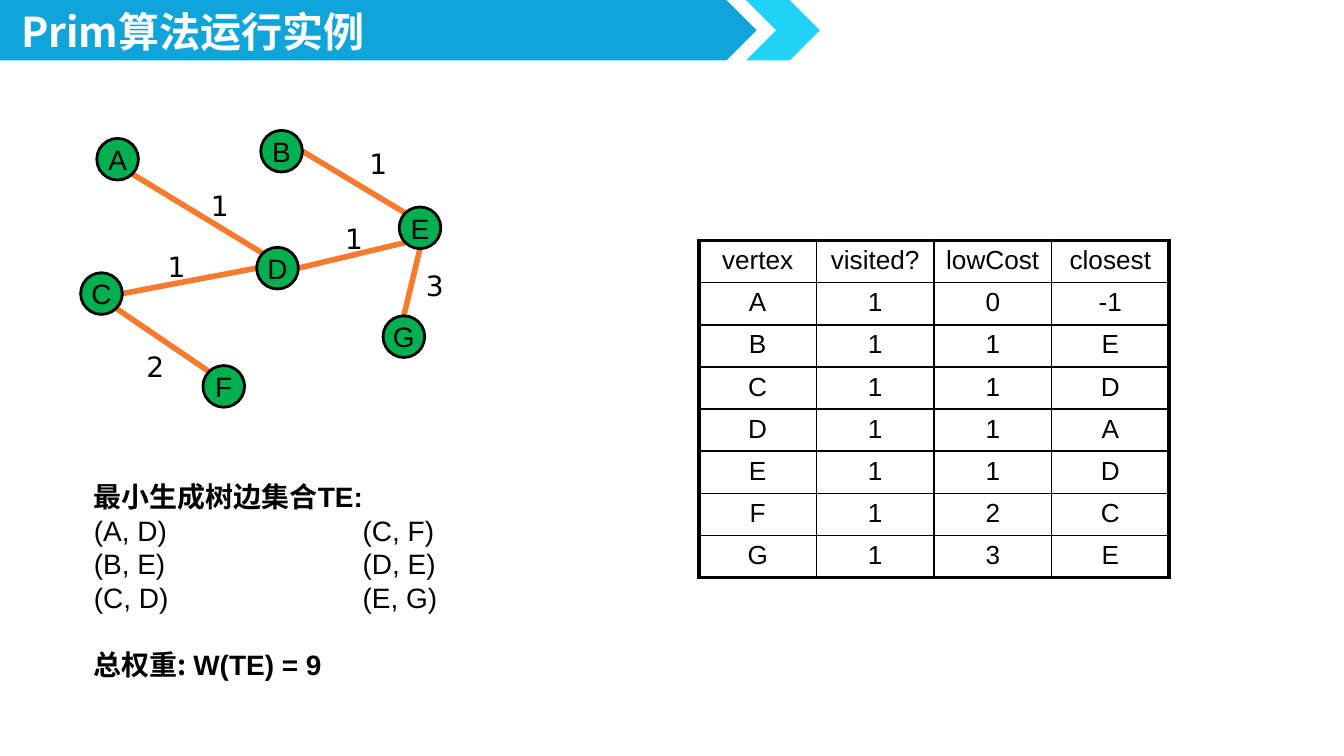
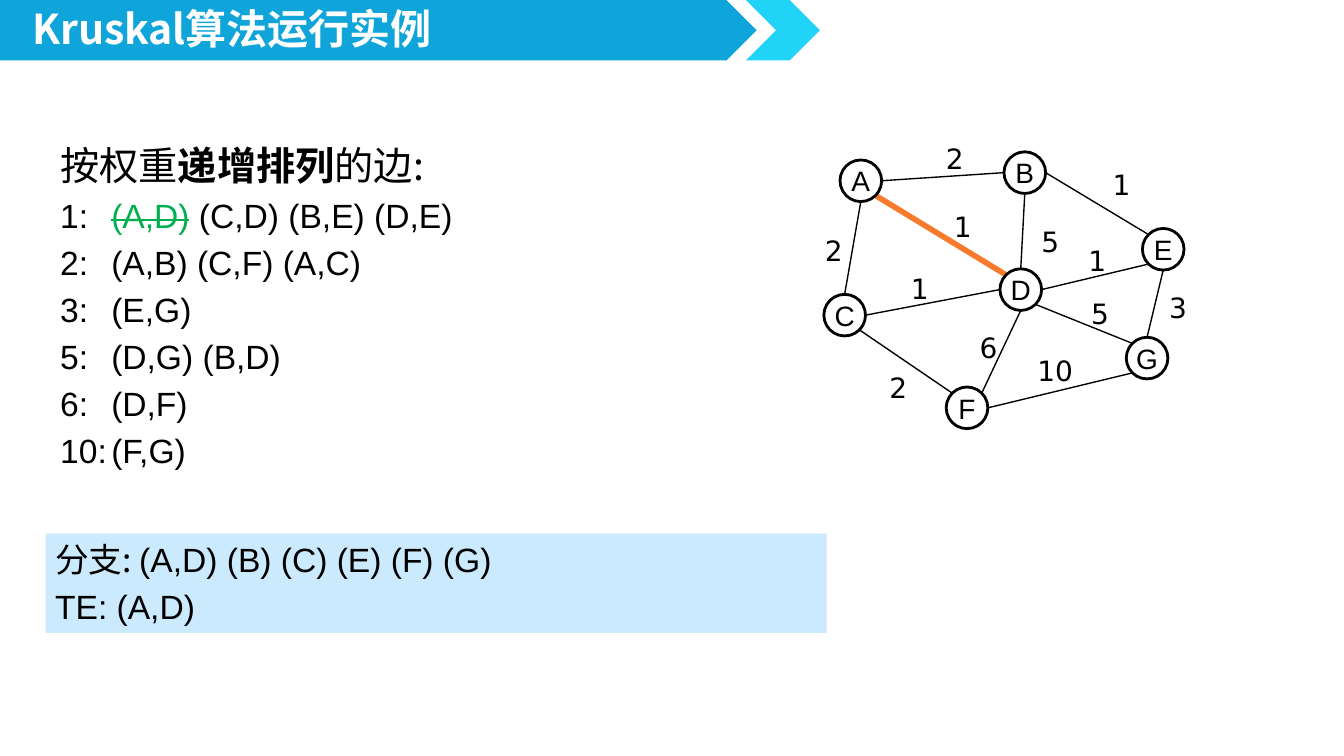
from lxml.etree import SubElement
from pptx import Presentation
from pptx.dml.color import RGBColor
from pptx.enum.shapes import MSO_CONNECTOR, MSO_SHAPE
from pptx.enum.text import MSO_ANCHOR, PP_ALIGN
from pptx.oxml.ns import qn
from pptx.util import Inches, Pt

LATIN, CHINESE, NUMERAL = "Arial", "Noto Sans CJK SC", "DejaVu Sans"
BLACK, WHITE = "000000", "FFFFFF"
BANNER_BLUE, CHEVRON_CYAN, PALE_BLUE = "10A5DA", "21D3F7", "CBEAFD"
GREEN, ORANGE = "00B050", "F77A2D"

NODE_SIZE = 0.31
# Top left corner of each node, measured from the graph's own corner
NODES = {
    "A": (0.12, 0.06), "B": (1.34, 0), "C": (0, 1.06), "D": (1.31, 0.87),
    "F": (0.91, 1.75), "E": (2.37, 0.57), "G": (2.25, 1.38),
}
# Nodes: (weight, side of first node, side of second node, label position)
EDGES = {
    "AC": (2, "S", "N", (-0.09, 0.56)),
    "AB": (2, "E", "W", (0.81, -0.13)),
    "BD": (5, "S", "N", (1.52, 0.49)),
    "AD": (1, "SE", "NW", (0.87, 0.38)),
    "CD": (1, "E", "W", (0.55, 0.84)),
    "DE": (1, "E", "SW", (1.87, 0.63)),
    "BE": (1, "E", "NW", (2.05, 0.07)),
    "CF": (2, "SE", "NW", (0.39, 1.58)),
    "DF": (6, "S", "NE", (1.06, 1.28)),
    "DG": (5, "SE", "NW", (1.89, 1.03)),
    "EG": (3, "S", "N", (2.47, 0.98)),
    "FG": (10, "E", "SW", (1.49, 1.45)),
}
SPANNING_TREE = ["AD", "CD", "DE", "BE", "CF", "EG"]

PRIM_TABLE = [
    ["vertex", "visited?", "lowCost", "closest"],
    ["A", "1", "0", "-1"],
    ["B", "1", "1", "E"],
    ["C", "1", "1", "D"],
    ["D", "1", "1", "A"],
    ["E", "1", "1", "D"],
    ["F", "1", "2", "C"],
    ["G", "1", "3", "E"],
]


def color(value):
    return RGBColor.from_string(value)


def format_run(run, size, font=LATIN, fill=BLACK, bold=False, strike=False):
    run.font.size = Pt(size)
    run.font.bold = bold
    run.font.color.rgb = color(fill)
    run.font.name = font
    properties = run.font._element
    SubElement(properties, qn("a:ea")).set("typeface", font)
    if strike:
        properties.set("strike", "sngStrike")


def write(paragraph, *pieces):
    """Add runs, each piece being a text and its formatting."""
    for text, style in pieces:
        run = paragraph.add_run()
        run.text = text
        format_run(run, **style)


def write_lines(text_frame, lines):
    """Fill a frame with one paragraph for each list of pieces."""
    for index, pieces in enumerate(lines):
        paragraph = text_frame.add_paragraph() if index else text_frame.paragraphs[0]
        write(paragraph, *pieces)
    return text_frame.paragraphs


def set_margins(text_frame, horizontal, vertical):
    text_frame.margin_left = text_frame.margin_right = Inches(horizontal)
    text_frame.margin_top = text_frame.margin_bottom = Inches(vertical)


def set_tab(paragraph, position):
    tabs = SubElement(paragraph._p.get_or_add_pPr(), qn("a:tabLst"))
    SubElement(tabs, qn("a:tab"), pos=str(Inches(position)), algn="l")


def set_hanging_indent(paragraph, indent):
    properties = paragraph._p.get_or_add_pPr()
    properties.set("marL", str(Inches(indent)))
    properties.set("indent", str(-Inches(indent)))


def add_text_box(slide, left, top, width, height, wrap=True):
    box = slide.shapes.add_textbox(*map(Inches, (left, top, width, height)))
    box.text_frame.word_wrap = wrap
    return box.text_frame


def add_shape(slide, kind, left, top, width, height, fill=None, line=None):
    shape = slide.shapes.add_shape(kind, *map(Inches, (left, top, width, height)))
    shape.shadow.inherit = False
    if fill:
        shape.fill.solid()
        shape.fill.fore_color.rgb = color(fill)
    else:
        shape.fill.background()
    if line:
        shape.line.color.rgb = color(line)
        shape.line.width = Pt(1.5)
    else:
        shape.line.fill.background()
    return shape


def add_titled_slide(presentation, title, left, top, width):
    slide = presentation.slides.add_slide(presentation.slide_layouts[6])
    add_shape(slide, MSO_SHAPE.PENTAGON, 0, 0, 5.63, 0.45, BANNER_BLUE)
    add_shape(slide, MSO_SHAPE.CHEVRON, 5.55, 0, 0.55, 0.45, CHEVRON_CYAN)
    paragraph = add_text_box(slide, left, top, width, 0.4).paragraphs[0]
    paragraph.line_spacing = 0.8
    write(paragraph, (title, dict(size=22, font=CHINESE, fill=WHITE, bold=True)))
    return slide


def node_point(name, side):
    """Return the point of a node's circle that faces a compass side."""
    radius = NODE_SIZE / 2
    reach = radius if len(side) == 1 else radius * 0.71
    left, top = NODES[name]
    across = ("E" in side) - ("W" in side)
    down = ("S" in side) - ("N" in side)
    return left + radius + reach * across, top + radius + reach * down


def add_edge(slide, start, end, line, width):
    connector = slide.shapes.add_connector(
        MSO_CONNECTOR.STRAIGHT, *map(Inches, (*start, *end)))
    connector.line.color.rgb = color(line)
    connector.line.width = Pt(width)
    SubElement(connector._element.spPr, qn("a:effectLst"))


def add_graph(slide, left, top, edges, chosen, node_fill=None):
    """Draw the graph with its chosen edges thick and orange."""
    def place(point):
        return left + point[0], top + point[1]

    for edge in edges:
        weight, first_side, second_side, label = EDGES[edge]
        line, width = (ORANGE, 3) if edge in chosen else (BLACK, 0.75)
        add_edge(slide, place(node_point(edge[0], first_side)),
                 place(node_point(edge[1], second_side)), line, width)
        label_width = 0.34 if weight < 10 else 0.47
        frame = add_text_box(slide, *place(label), label_width, 0.35, wrap=False)
        write(frame.paragraphs[0], (str(weight), dict(size=15, font=NUMERAL)))
    for name, corner in NODES.items():
        node = add_shape(slide, MSO_SHAPE.OVAL, *place(corner),
                         NODE_SIZE, NODE_SIZE, node_fill, BLACK)
        frame = node.text_frame
        frame.word_wrap = False
        frame.vertical_anchor = MSO_ANCHOR.MIDDLE
        set_margins(frame, 0, 0)
        frame.paragraphs[0].alignment = PP_ALIGN.CENTER
        write(frame.paragraphs[0], (name, dict(size=15)))


def set_borders(cell, widths):
    """Draw the left, right, top and bottom borders in the given points."""
    properties = cell._tc.get_or_add_tcPr()
    for index, (side, width) in enumerate(zip("LRTB", widths)):
        border = SubElement(properties, qn(f"a:ln{side}"), w=str(Pt(width)))
        fill = SubElement(border, qn("a:solidFill"))
        SubElement(fill, qn("a:srgbClr"), val=BLACK)
        properties.insert(index, border)


def add_grid(slide, rows, left, top, width, height):
    row_count, column_count = len(rows), len(rows[0])
    table = slide.shapes.add_table(
        row_count, column_count, *map(Inches, (left, top, width, height))).table
    table.first_row = table.horz_banding = False
    for column in table.columns:
        column.width = Inches(width / column_count)
    for row_index, values in enumerate(rows):
        table.rows[row_index].height = Inches(height / row_count)
        for column_index, value in enumerate(values):
            cell = table.cell(row_index, column_index)
            cell.fill.background()
            set_margins(cell, 0.07, 0.04)
            paragraph = cell.text_frame.paragraphs[0]
            paragraph.alignment = PP_ALIGN.CENTER
            write(paragraph, (value, dict(size=14)))
            outer_sides = (column_index == 0, column_index == column_count - 1,
                           row_index == 0, row_index == row_count - 1)
            set_borders(cell, [2.25 if outer else 1 for outer in outer_sides])


def build_prim_slide(presentation):
    slide = add_titled_slide(presentation, "Prim算法运行实例", 0.06, 0.07, 5.41)
    add_graph(slide, 0.6, 0.97, SPANNING_TREE, SPANNING_TREE, GREEN)

    plain = dict(size=15)
    bold = dict(size=15, bold=True)
    chinese = dict(size=15, font=CHINESE, bold=True)
    pairs = ["(A, D)\t(C, F)", "(B, E)\t(D, E)", "(C, D)\t(E, G)"]
    paragraphs = write_lines(add_text_box(slide, 0.6, 3.52, 3.45, 1.62), [
        [("最小生成树边集合", chinese), ("TE:", bold)],
        *[[(pair, plain)] for pair in pairs],
        [("总权重: ", chinese), ("W(TE) = 9", bold)],
    ])
    for paragraph in paragraphs[1:4]:
        set_tab(paragraph, 2)
    paragraphs[-1].space_before = Pt(18)

    add_grid(slide, PRIM_TABLE, 5.2, 1.79, 3.5, 2.47)


def build_kruskal_slide(presentation):
    slide = add_titled_slide(presentation, "Kruskal算法运行实例", 0.14, 0.05, 3.31)

    heading = dict(size=21, font=CHINESE)
    plain = dict(size=18)
    done = dict(size=18, fill=GREEN, strike=True)
    remaining = ["2:\t(A,B) (C,F) (A,C)", "3:\t(E,G)", "5:\t(D,G) (B,D)",
                 "6:\t(D,F)", "10:\t(F,G)"]
    edge_list = write_lines(add_text_box(slide, 0.35, 1, 9, 2.68), [
        [("按权重", heading), ("递增排列", dict(heading, bold=True)), ("的边:", heading)],
        [("1:\t", plain), ("(A,D)", done), (" (C,D) (B,E) (D,E)", plain)],
        *[[(line, plain)] for line in remaining],
    ])
    for paragraph in edge_list[1:]:
        set_hanging_indent(paragraph, 0.38)
        paragraph.space_before = Pt(3.6)

    panel = add_shape(slide, MSO_SHAPE.RECTANGLE, 0.34, 3.97, 5.81, 0.74, PALE_BLUE)
    set_margins(panel.text_frame, 0.07, 0.04)
    panel.text_frame.vertical_anchor = MSO_ANCHOR.TOP
    state = write_lines(panel.text_frame, [
        [("分支: ", dict(size=18, font=CHINESE)), ("(A,D) (B) (C) (E) (F) (G)", plain)],
        [("TE: (A,D)", plain)],
    ])
    for paragraph in state:
        paragraph.alignment = PP_ALIGN.LEFT
    state[1].space_before = Pt(3.6)

    add_graph(slide, 6.13, 1.13, EDGES, ["AD"])


def main():
    presentation = Presentation()
    presentation.slide_width = Inches(10)
    presentation.slide_height = Inches(10 * 9 / 16)
    build_prim_slide(presentation)
    build_kruskal_slide(presentation)
    presentation.save("out.pptx")


if __name__ == "__main__":
    main()
